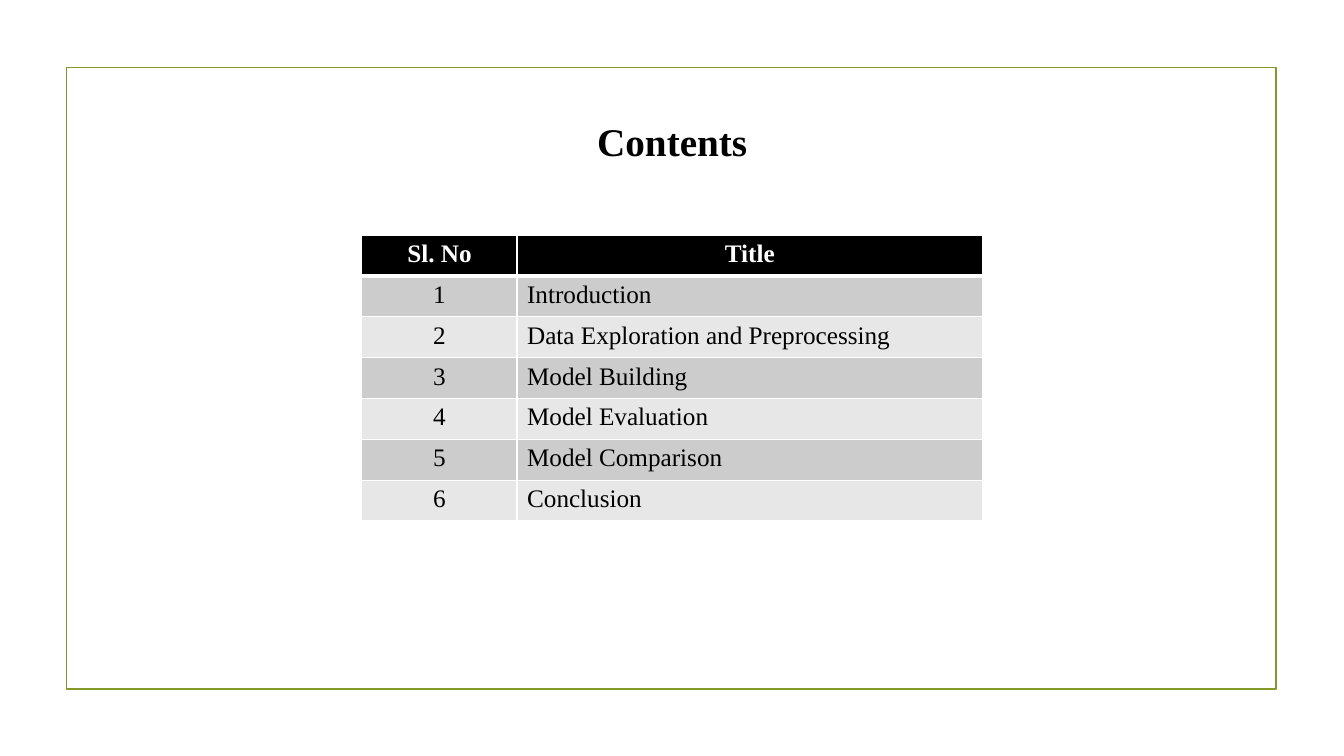
from lxml import etree
from pptx import Presentation
from pptx import util as u
from pptx.dml.color import RGBColor
from pptx.enum import shapes, text
from pptx.oxml import ns

# Content
HEAD = "Contents"
ROWS = [
    ("Sl. No", "Title"),
    ("1", "Introduction"),
    ("2", "Data Exploration and Preprocessing"),
    ("3", "Model Building"),
    ("4", "Model Evaluation"),
    ("5", "Model Comparison"),
    ("6", "Conclusion"),
]

# Style
FONT = "Times New Roman"
BLACK = RGBColor(0x00, 0x00, 0x00)
WHITE = RGBColor(0xFF, 0xFF, 0xFF)
OLIVE = RGBColor(0x83, 0x99, 0x2A)
DARK = RGBColor(0xCC, 0xCC, 0xCC)
LIGHT = RGBColor(0xE7, 0xE7, 0xE7)

# Sizes in cm
COLS = (3.91, 11.73)
ROW_H = 1.03


def style(para, size, color, bold, align):
    para.alignment = align
    for run in para.runs:
        run.font.name = FONT
        run.font.size = u.Pt(size)
        run.font.bold = bold
        run.font.color.rgb = color


def edge(cell, side, width):
    line = etree.Element(ns.qn("a:ln" + side), w=str(u.Pt(width)))
    fill = etree.SubElement(line, ns.qn("a:solidFill"))
    etree.SubElement(fill, ns.qn("a:srgbClr"), val=str(WHITE))
    return line


def border(cell, top, bottom):
    props = cell._tc.get_or_add_tcPr()
    widths = {"L": 1, "R": 1, "T": top, "B": bottom}
    for spot, (side, width) in enumerate(widths.items()):
        props.insert(spot, edge(cell, side, width))


def main():
    prs = Presentation()
    prs.slide_width, prs.slide_height = u.Cm(33.87), u.Cm(19.05)
    slide = prs.slides.add_slide(prs.slide_layouts[6])
    center, left = text.PP_ALIGN.CENTER, text.PP_ALIGN.LEFT

    # Frame
    frame = slide.shapes.add_shape(
        shapes.MSO_SHAPE.RECTANGLE, u.Cm(1.68), u.Cm(1.7), u.Cm(30.48), u.Cm(15.67))
    frame.shadow.inherit = False
    frame.fill.background()
    frame.line.color.rgb = OLIVE
    frame.line.width = u.Pt(1.25)

    # Table
    table = slide.shapes.add_table(
        len(ROWS), len(COLS), u.Cm(9.12), u.Cm(5.92),
        u.Cm(sum(COLS)), u.Cm(ROW_H * len(ROWS))).table
    for col, width in zip(table.columns, COLS):
        col.width = u.Cm(width)
    for i, row in enumerate(ROWS):
        table.rows[i].height = u.Cm(ROW_H)
        top = i == 0
        shade = BLACK if top else DARK if i % 2 else LIGHT
        for j, words in enumerate(row):
            cell = table.cell(i, j)
            cell.text_frame.text = words
            style(cell.text_frame.paragraphs[0], 18, WHITE if top else BLACK,
                  top, center if top or j == 0 else left)
            cell.fill.solid()
            cell.fill.fore_color.rgb = shade
            border(cell, 3 if i == 1 else 1, 3 if top else 1)

    # Heading
    box = slide.shapes.add_textbox(u.Cm(14.78), u.Cm(2.84), u.Cm(4.32), u.Cm(1.45))
    box.text_frame.word_wrap = False
    box.text_frame.auto_size = text.MSO_AUTO_SIZE.SHAPE_TO_FIT_TEXT
    box.text_frame.text = HEAD
    style(box.text_frame.paragraphs[0], 28, BLACK, True, center)

    prs.save("out.pptx")


if __name__ == "__main__":
    main()
